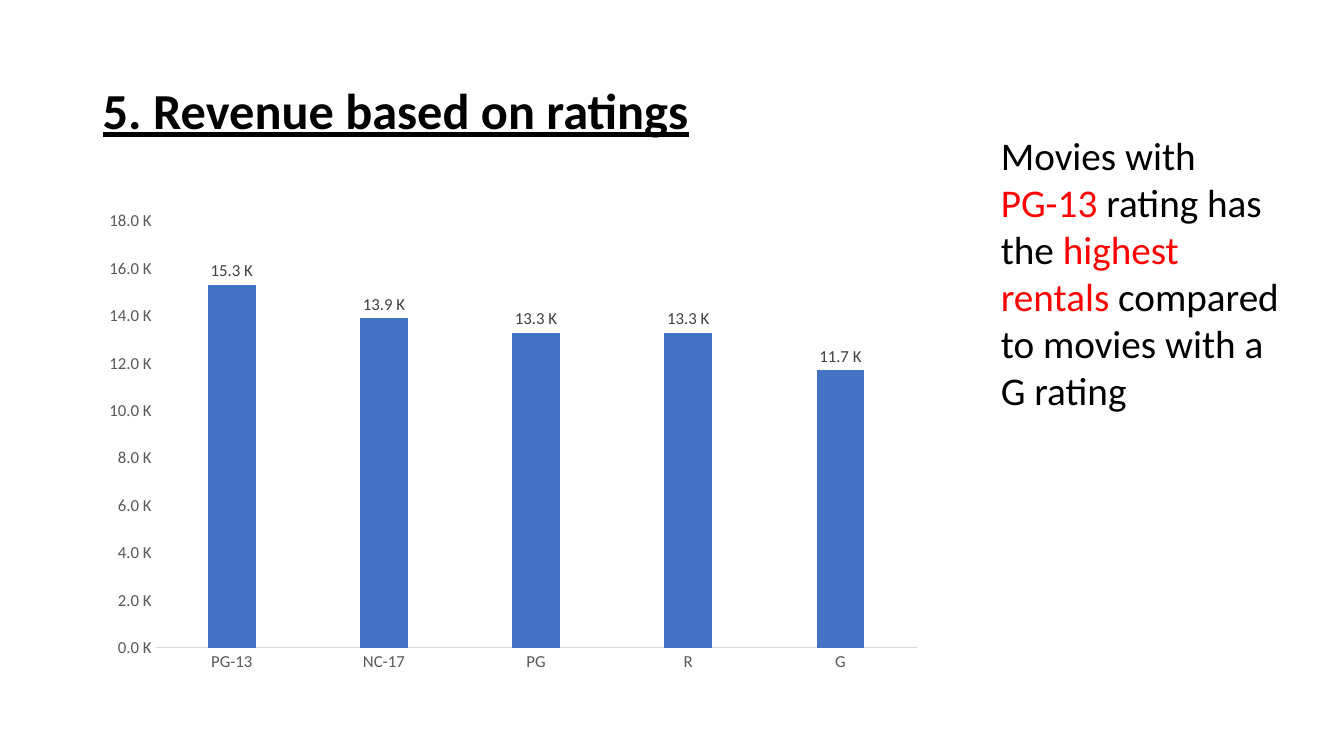
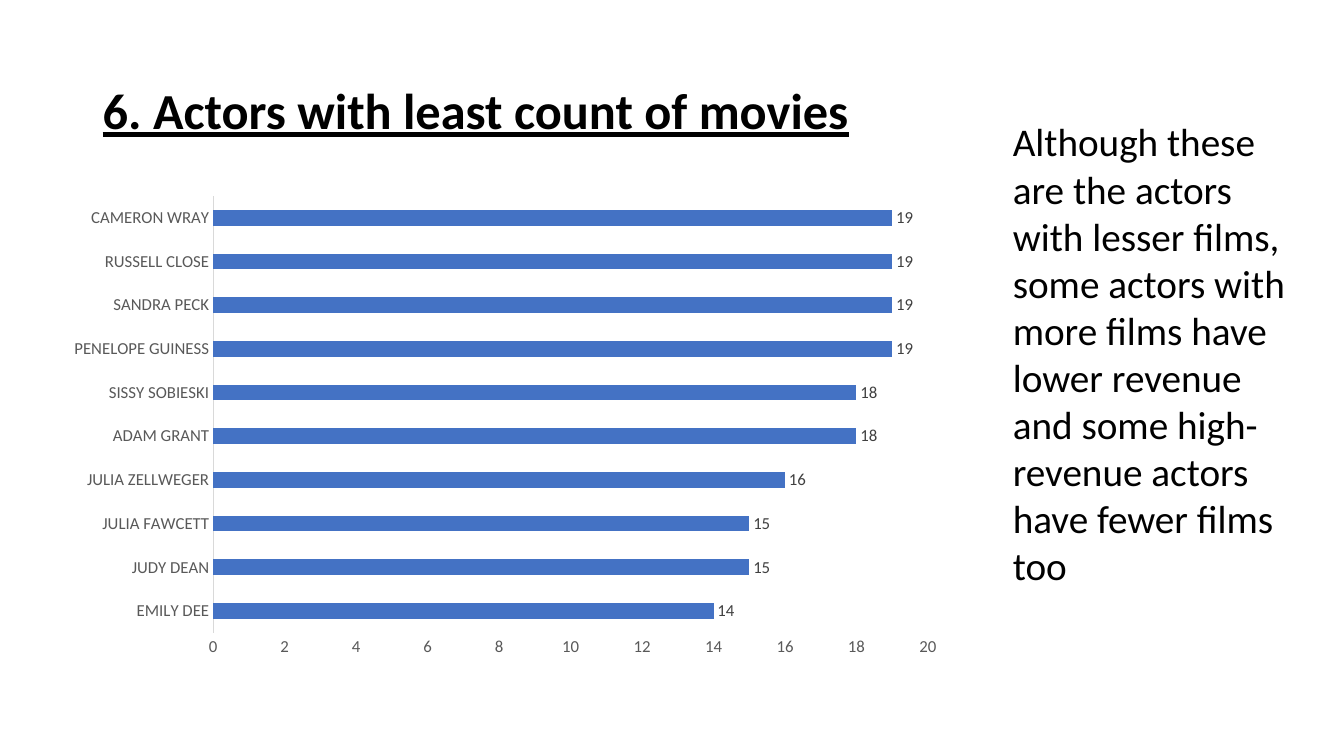
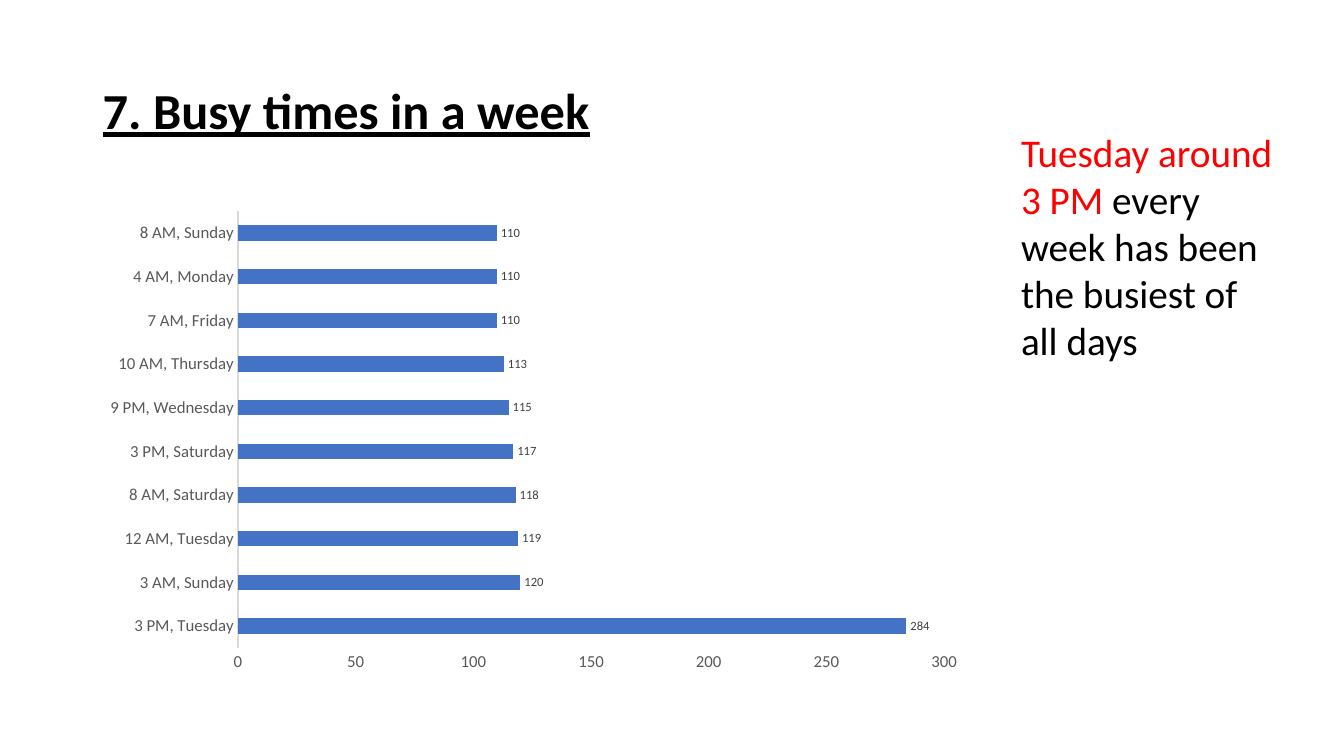
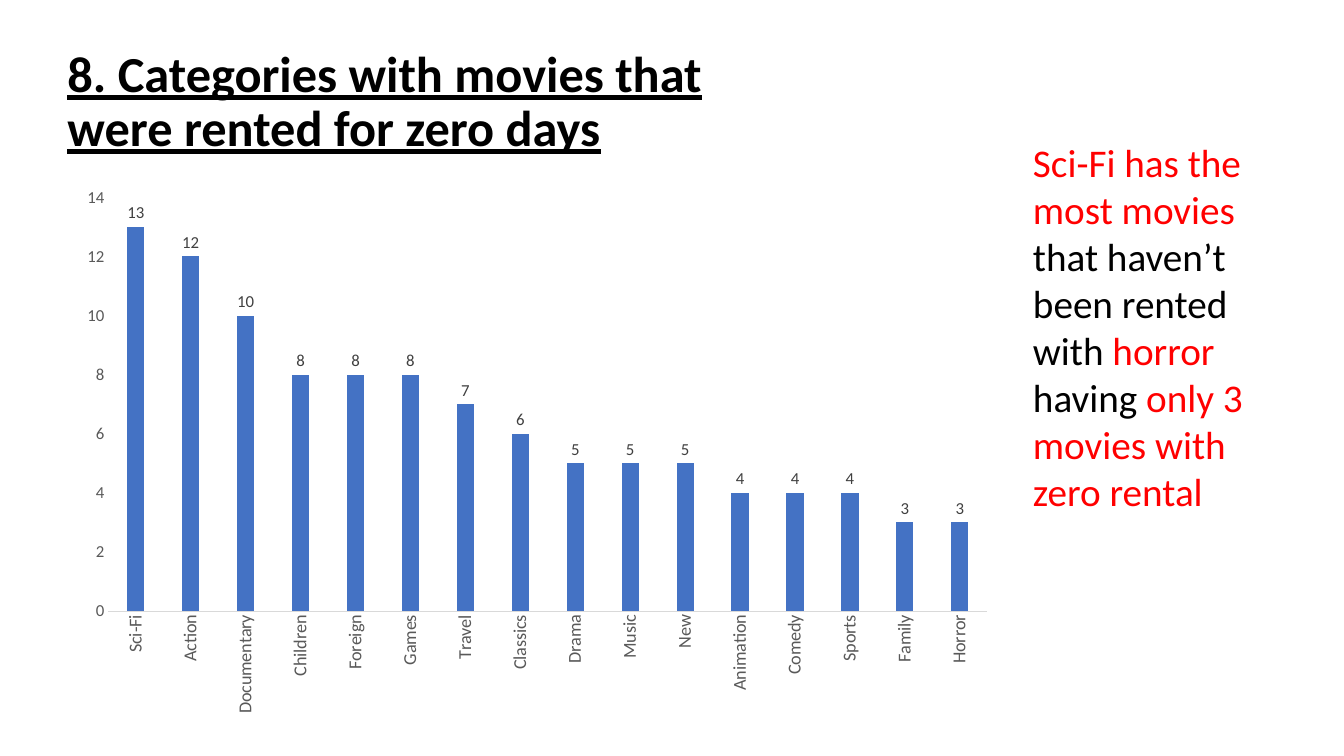
"""Build four slides that pair a film rental chart with a short finding."""
from pptx import Presentation
from pptx.chart.data import CategoryChartData
from pptx.dml.color import RGBColor
from pptx.enum.chart import XL_CHART_TYPE, XL_LABEL_POSITION, XL_TICK_MARK
from pptx.enum.text import MSO_ANCHOR, MSO_AUTO_SIZE, PP_ALIGN
from pptx.util import Pt

COLUMN = XL_CHART_TYPE.COLUMN_CLUSTERED
BAR = XL_CHART_TYPE.BAR_CLUSTERED
OUTSIDE_END = XL_LABEL_POSITION.OUTSIDE_END
NO_TICK = XL_TICK_MARK.NONE
MIDDLE = MSO_ANCHOR.MIDDLE
LEFT = PP_ALIGN.LEFT
NO_AUTOFIT = MSO_AUTO_SIZE.NONE
GROW = MSO_AUTO_SIZE.SHAPE_TO_FIT_TEXT

BLACK = RGBColor(0x00, 0x00, 0x00)
RED = RGBColor(0xFF, 0x00, 0x00)
BLUE = RGBColor(0x44, 0x72, 0xC4)
AXIS_TEXT = RGBColor(0x59, 0x59, 0x59)
LABEL_TEXT = RGBColor(0x40, 0x40, 0x40)
AXIS_LINE = RGBColor(0xD9, 0xD9, 0xD9)

FONT = "Calibri"
THOUSANDS = '#,##0.0,\\ "K"'
GAP_WIDTH = {COLUMN: 219, BAR: 182}

SLIDES = [
    {
        "title": "5. Revenue based on ratings",
        "title_at": (66.2, 28.8, 828, 104.4),
        "chart_at": (66.2, 144, 600.5, 342.7),
        "kind": COLUMN,
        "values": {"PG-13": 15300, "NC-17": 13900, "PG": 13300, "R": 13300, "G": 11700},
        "scale": (18000, 2000),
        "format": THOUSANDS,
        "finding_at": (707.8, 90, 215.3, 211),
        "finding": [
            ("Movies with ", BLACK),
            ("PG-13 ", RED),
            ("rating has the ", BLACK),
            ("highest rentals ", RED),
            ("compared to movies with a G rating", BLACK),
        ],
    },
    {
        "title": "6. Actors with least count of movies",
        "title_at": (66.2, 28.8, 650.9, 104.4),
        "chart_at": (40.3, 133.2, 641.5, 342.7),
        "kind": BAR,
        "values": {
            "EMILY DEE": 14, "JUDY DEAN": 15, "JULIA FAWCETT": 15,
            "JULIA ZELLWEGER": 16, "ADAM GRANT": 18, "SISSY SOBIESKI": 18,
            "PENELOPE GUINESS": 19, "SANDRA PECK": 19, "RUSSELL CLOSE": 19,
            "CAMERON WRAY": 19,
        },
        "scale": (20, 2),
        "finding_at": (716.4, 80.6, 213.1, 346.3),
        "finding": [
            ("Although these are the actors with lesser films, some actors with "
             "more films have lower revenue and some high-revenue actors have "
             "fewer films too", BLACK),
        ],
    },
    {
        "title": "7. Busy times in a week",
        "title_at": (66.2, 28.8, 461.5, 104.4),
        "chart_at": (66.2, 144, 630, 342.7),
        "kind": BAR,
        "values": {
            "3 PM, Tuesday": 284, "3 AM, Sunday": 120, "12 AM, Tuesday": 119,
            "8 AM, Saturday": 118, "3 PM, Saturday": 117, "9 PM, Wednesday": 115,
            "10 AM, Thursday": 113, "7 AM, Friday": 110, "4 AM, Monday": 110,
            "8 AM, Sunday": 110,
        },
        "scale": (300, 50),
        "label_size": 9,
        "finding_at": (722.2, 87.8, 198, 177.1),
        "finding": [
            ("Tuesday around 3 PM ", RED),
            ("every week has been the busiest of all days", BLACK),
        ],
    },
    {
        "title": "8. Categories with movies that were rented for zero days",
        "title_at": (41, 21.6, 547.2, 104.4),
        "chart_at": (49, 126, 669.6, 391.7),
        "kind": COLUMN,
        "values": {
            "Sci-Fi": 13, "Action": 12, "Documentary": 10, "Children": 8,
            "Foreign": 8, "Games": 8, "Travel": 7, "Classics": 6, "Drama": 5,
            "Music": 5, "New": 5, "Animation": 4, "Comedy": 4, "Sports": 4,
            "Family": 3, "Horror": 3,
        },
        "scale": (14, 2),
        "category_size": 13,
        "upright_names": True,
        "finding_at": (730.8, 95, 199.4, 278.6),
        "finding": [
            ("Sci-Fi has the most movies ", RED),
            ("that haven’t been rented with ", BLACK),
            ("horror", RED),
            (" having ", BLACK),
            ("only 3 movies with zero rental", RED),
        ],
    },
]


def style_font(font, size, color):
    """Apply the deck font with a size and a colour."""
    font.name = FONT
    font.size = Pt(size)
    font.color.rgb = color


deck = Presentation()
deck.slide_width = Pt(960)
deck.slide_height = Pt(540)
title_only = deck.slide_layouts[5]

for content in SLIDES:
    page = deck.slides.add_slide(title_only)

    title = page.shapes.title
    title.left, title.top, title.width, title.height = map(Pt, content["title_at"])
    frame = title.text_frame
    frame.text = content["title"]
    frame.word_wrap = True
    frame.auto_size = NO_AUTOFIT
    frame.vertical_anchor = MIDDLE
    paragraph = frame.paragraphs[0]
    paragraph.alignment = LEFT
    paragraph.line_spacing = 0.9
    title_font = paragraph.runs[0].font
    style_font(title_font, 36, BLACK)
    title_font.bold = True
    title_font.underline = True

    number_format = content.get("format", "General")
    data = CategoryChartData(number_format=number_format)
    data.categories = list(content["values"])
    data.add_series("Series 1", list(content["values"].values()))
    kind = content["kind"]
    chart = page.shapes.add_chart(kind, *map(Pt, content["chart_at"]), data).chart
    chart.has_title = False
    chart.has_legend = False
    style_font(chart.font, 10, BLACK)

    category_axis, value_axis = chart.category_axis, chart.value_axis
    for axis in (category_axis, value_axis):
        axis.major_tick_mark = NO_TICK
        axis.minor_tick_mark = NO_TICK
        axis.has_major_gridlines = False
        style_font(axis.tick_labels.font, 12, AXIS_TEXT)
    category_axis.tick_labels.font.size = Pt(content.get("category_size", 12))
    category_axis.format.line.color.rgb = AXIS_LINE
    category_axis.format.line.width = Pt(0.75)
    if content.get("upright_names"):
        category_axis._element.txPr.bodyPr.set("rot", "-5400000")
        category_axis._element.txPr.bodyPr.set("vert", "horz")
    value_axis.format.line.fill.background()
    value_axis.minimum_scale = 0
    value_axis.maximum_scale, value_axis.major_unit = content["scale"]
    value_axis.tick_labels.number_format = number_format
    value_axis.tick_labels.number_format_is_linked = False

    plot = chart.plots[0]
    plot.vary_by_categories = False
    plot.gap_width = GAP_WIDTH[kind]
    if kind == COLUMN:
        plot.overlap = -27
    series = plot.series[0]
    series.format.fill.solid()
    series.format.fill.fore_color.rgb = BLUE
    labels = series.data_labels
    labels.show_value = True
    labels.position = OUTSIDE_END
    labels.number_format = number_format
    labels.number_format_is_linked = False
    style_font(labels.font, content.get("label_size", 12), LABEL_TEXT)

    finding_box = page.shapes.add_textbox(*map(Pt, content["finding_at"]))
    frame = finding_box.text_frame
    frame.word_wrap = True
    frame.auto_size = GROW
    for text, color in content["finding"]:
        span = frame.paragraphs[0].add_run()
        span.text = text
        style_font(span.font, 28, color)

deck.save("out.pptx")
